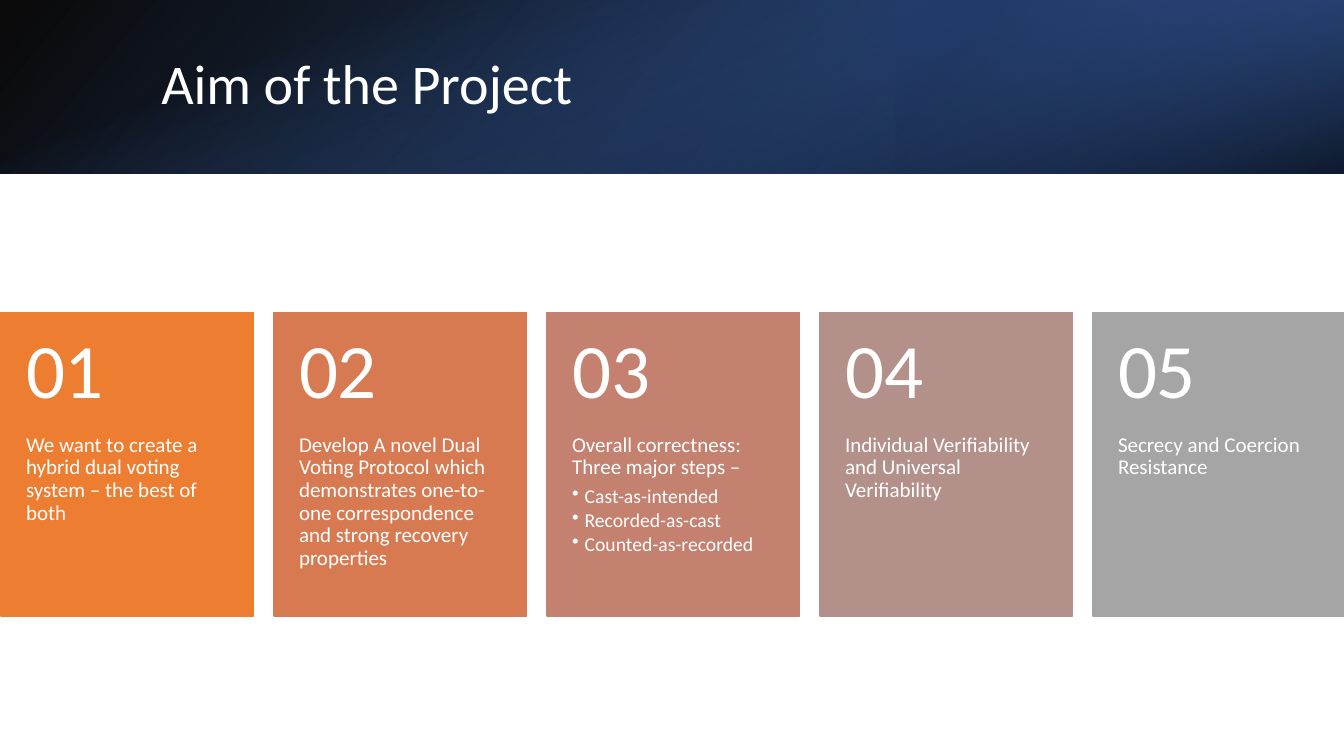
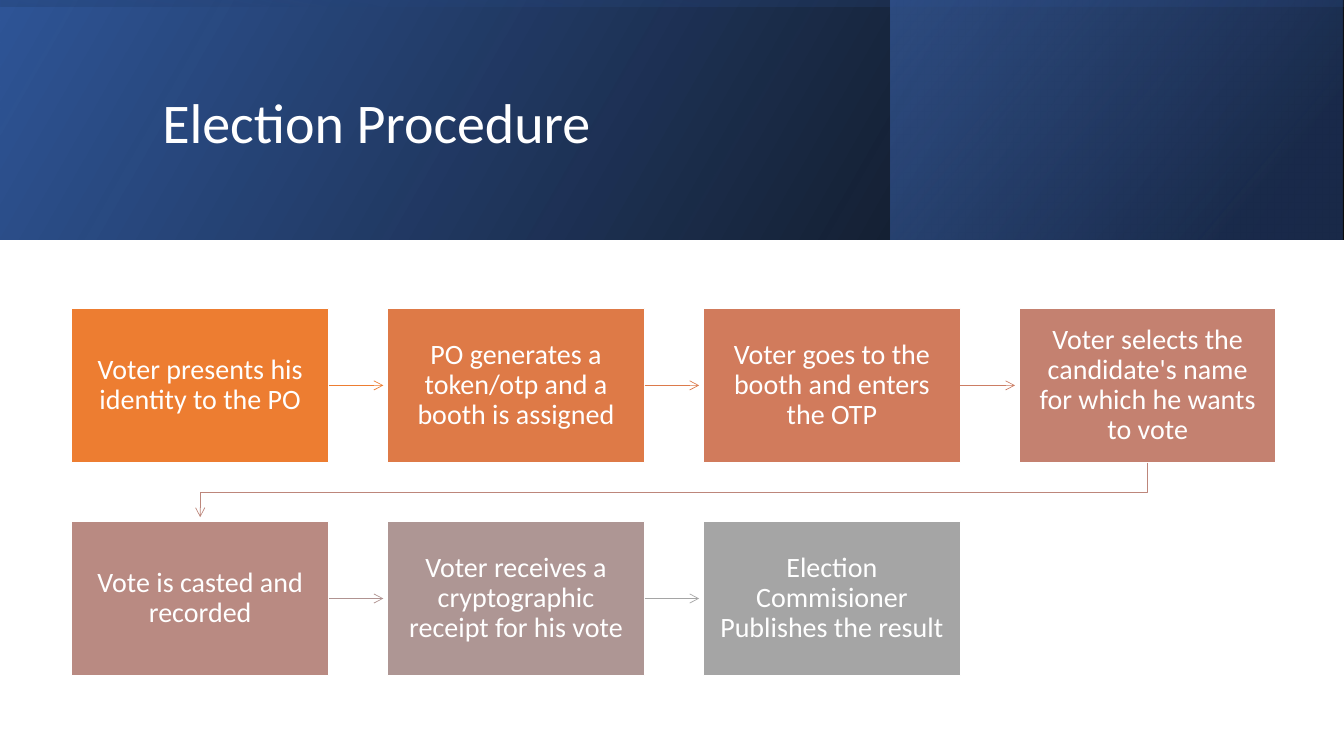
from lxml import etree
from pptx import Presentation
from pptx.dml.color import RGBColor
from pptx.enum import shapes, text
from pptx.oxml import parse_xml
from pptx.oxml.ns import nsdecls, qn
from pptx.util import Pt

FONT = "Calibri"
COLORS = {
    "white": "FFFFFF", "black": "000000", "navy": "203864",
    "blue": "2F5597", "sky": "4472C4",
}
WIDTH, HEIGHT = 960, 540


def style_text(shape, size, anchor, align, insets, space_after):
    """Format the whole text of a shape; insets run left, top, right, bottom."""
    frame = shape.text_frame
    frame.word_wrap = True
    frame.auto_size = text.MSO_AUTO_SIZE.NONE
    frame.vertical_anchor = anchor
    frame.margin_left, frame.margin_top, frame.margin_right, frame.margin_bottom = map(Pt, insets)
    for paragraph in frame.paragraphs:
        paragraph.alignment = align
        paragraph.line_spacing = 0.9
        paragraph.space_before = Pt(0)
        paragraph.space_after = Pt(space_after)
        for run in paragraph.runs:
            run.font.name = FONT
            run.font.size = Pt(size)
            run.font.color.rgb = RGBColor.from_string(COLORS["white"])


def style_arrow(shape, color):
    shape.line.color.rgb = RGBColor.from_string(color)
    shape.line.width = Pt(0.5)
    properties = shape._element.spPr
    etree.SubElement(properties.find(qn("a:ln")), qn("a:tailEnd"), type="arrow")
    etree.SubElement(properties, qn("a:effectLst"))


presentation = Presentation()
presentation.slide_width, presentation.slide_height = Pt(WIDTH), Pt(HEIGHT)

# Headers: title, title box, band height and gradient layers
# Layer: left, width, rotation, flipped, angle, stops (position, color, opacity)
# A quarter-turned layer is drawn upright around the centre of the band
headers = [
    ("Aim of the Project", (108, 27.4, 790.6, 69), 124, [
        (0, WIDTH, 0, True, 140, [(0, "black", 96), (100, "blue", 100)]),
        (640, 320, 180, True, 320, [(19, "navy", 68), (100, "sky", 79)]),
        (0, WIDTH, 90, False, 340, [(23, "sky", 0), (99, "black", 74)]),
    ]),
    ("Election Procedure", (108.7, 27.4, 765.4, 124), 171, [
        (0, WIDTH, 0, True, 330, [(0, "black", 96), (100, "blue", 100)]),
        (636, 323, 0, True, 320, [(19, "navy", 68), (100, "sky", 48)]),
        (0, WIDTH, 270, True, 350, [(23, "blue", 16), (99, "black", 45)]),
    ]),
]
slides = []
for title_text, title_box, band_height, layers in headers:
    slide = presentation.slides.add_slide(presentation.slide_layouts[5])
    slides.append(slide)
    for left, width, rotation, flipped, angle, stops in layers:
        top, height = 0, band_height
        if rotation in (90, 270):
            left, top = (width - height) / 2, (height - width) / 2
            width, height = height, width
        band = slide.shapes.add_shape(
            shapes.MSO_SHAPE.RECTANGLE, Pt(left), Pt(top), Pt(width), Pt(height))
        band.rotation = rotation
        properties = band._element.spPr
        if flipped:
            properties.find(qn("a:xfrm")).set("flipH", "1")
        stop_xml = "".join(
            f'<a:gs pos="{position * 1000}"><a:srgbClr val="{COLORS[color]}">'
            f'<a:alpha val="{opacity * 1000}"/></a:srgbClr></a:gs>'
            for position, color, opacity in stops)
        properties.insert(2, parse_xml(
            f'<a:gradFill {nsdecls("a")} rotWithShape="1"><a:gsLst>{stop_xml}</a:gsLst>'
            f'<a:lin ang="{angle * 60000}" scaled="0"/></a:gradFill>'))
        band.line.fill.background()
        band.shadow.inherit = False
    title = slide.shapes.title
    title.left, title.top, title.width, title.height = map(Pt, title_box)
    title.text_frame.text = title_text
    style_text(title, 40, text.MSO_ANCHOR.MIDDLE, text.PP_ALIGN.LEFT, (7.2, 3.6, 7.2, 3.6), 0)
    slide.shapes._spTree.append(title._element)  # in front of the bands

aim_slide, procedure_slide = slides

# Aim of the Project: five numbered cards
cards = [
    ("ED7D31", ["We want to create a hybrid dual voting system – the best of both"]),
    ("D87A51", ["Develop A novel Dual Voting Protocol which demonstrates one-to-one "
                "correspondence and strong recovery properties"]),
    ("C48170", ["Overall correctness: Three major steps –",
                "Cast-as-intended", "Recorded-as-cast", "Counted-as-recorded"]),
    ("B4908B", ["Individual Verifiability and Universal Verifiability"]),
    ("A5A5A5", ["Secrecy and Coercion Resistance"]),
]
card_top, card_width, card_height, number_height = 223.2, 180.6, 216.7, 86.7
for index, (color, lines) in enumerate(cards):
    left = 0.6 + index * 195
    card = aim_slide.shapes.add_shape(
        shapes.MSO_SHAPE.RECTANGLE, Pt(left), Pt(card_top), Pt(card_width), Pt(card_height))
    card.shadow.inherit = False
    card.fill.solid()
    card.fill.fore_color.rgb = card.line.color.rgb = RGBColor.from_string(color)
    card.line.width = Pt(1)
    card.text_frame.text = "\n".join(lines)
    style_text(card, 15, text.MSO_ANCHOR.TOP, text.PP_ALIGN.LEFT,
               (18, number_height, 18, 26), 5.3)
    for paragraph in card.text_frame.paragraphs[1:]:
        paragraph.level = 1
        paragraph.space_after = Pt(2)
        paragraph_properties = paragraph._p.get_or_add_pPr()
        paragraph_properties.set("marL", str(Pt(9)))
        paragraph_properties.set("indent", str(Pt(-9)))
        etree.SubElement(paragraph_properties, qn("a:buChar"), char="•")
        paragraph.runs[0].font.size = Pt(14)

    number = aim_slide.shapes.add_textbox(
        Pt(left), Pt(card_top), Pt(card_width), Pt(number_height))
    number.text_frame.text = f"{index + 1:02}"
    style_text(number, 55, text.MSO_ANCHOR.MIDDLE, text.PP_ALIGN.LEFT, (18, 13, 18, 13), 0)

# Election Procedure: steps in rows of four, each with the color of the arrow leaving it
steps = [
    ("Voter presents his identity to the PO", "ED7D31", "ED7D31"),
    ("PO generates a token/otp and a booth is assigned", "DE7A47", "DC7A4B"),
    ("Voter goes to the booth and enters the OTP", "D17B5C", "CC7D64"),
    ("Voter selects the candidate's name for which he wants to vote", "C48170", "BD867B"),
    ("Vote is casted and recorded", "B98A82", "B09391"),
    ("Voter receives a cryptographic receipt for his vote", "AE9694", "A5A5A5"),
    ("Election Commisioner Publishes the result", "A5A5A5", None),
]
columns, grid_left, grid_top = 4, 51.2, 220.2
step_width, step_height, column_pitch, row_pitch = 183.6, 110.2, 225.6, 152.2
arrow_gap = 3
for index, (label, color, arrow_color) in enumerate(steps):
    row, column = divmod(index, columns)
    left, top = grid_left + column * column_pitch, grid_top + row * row_pitch
    step = procedure_slide.shapes.add_shape(
        shapes.MSO_SHAPE.RECTANGLE, Pt(left), Pt(top), Pt(step_width), Pt(step_height))
    step.shadow.inherit = False
    step.fill.solid()
    step.fill.fore_color.rgb = RGBColor.from_string(color)
    step.line.color.rgb = RGBColor.from_string(COLORS["white"])
    step.line.width = Pt(1)
    step.text_frame.text = label
    style_text(step, 20, text.MSO_ANCHOR.MIDDLE, text.PP_ALIGN.CENTER, (9, 9.4, 9, 9.4), 0)

    if arrow_color is None:
        continue
    if column < columns - 1:
        middle = top + step_height / 2
        arrow = procedure_slide.shapes.add_connector(
            shapes.MSO_CONNECTOR.STRAIGHT, Pt(left + step_width), Pt(middle),
            Pt(left + column_pitch - arrow_gap), Pt(middle))
        arrow.begin_connect(step, 3)
    else:
        start_x, end_x = left + step_width / 2, grid_left + step_width / 2
        bottom, next_top = top + step_height, top + row_pitch
        bend = (bottom + next_top) / 2
        builder = procedure_slide.shapes.build_freeform(Pt(start_x), Pt(bottom))
        builder.add_line_segments(
            [(Pt(start_x), Pt(bend)), (Pt(end_x), Pt(bend)),
             (Pt(end_x), Pt(next_top - arrow_gap))], close=False)
        arrow = builder.convert_to_shape()
        arrow.fill.background()
    style_arrow(arrow, arrow_color)

presentation.save("out.pptx")
